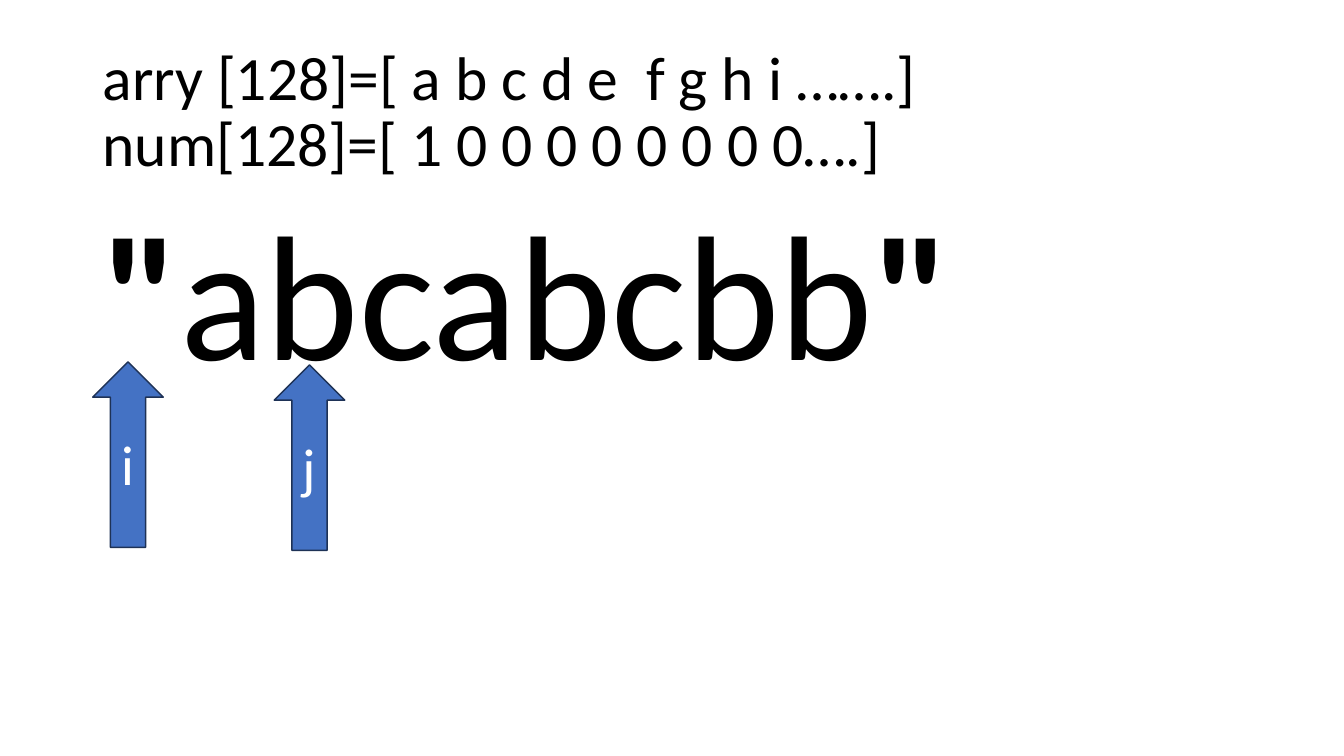
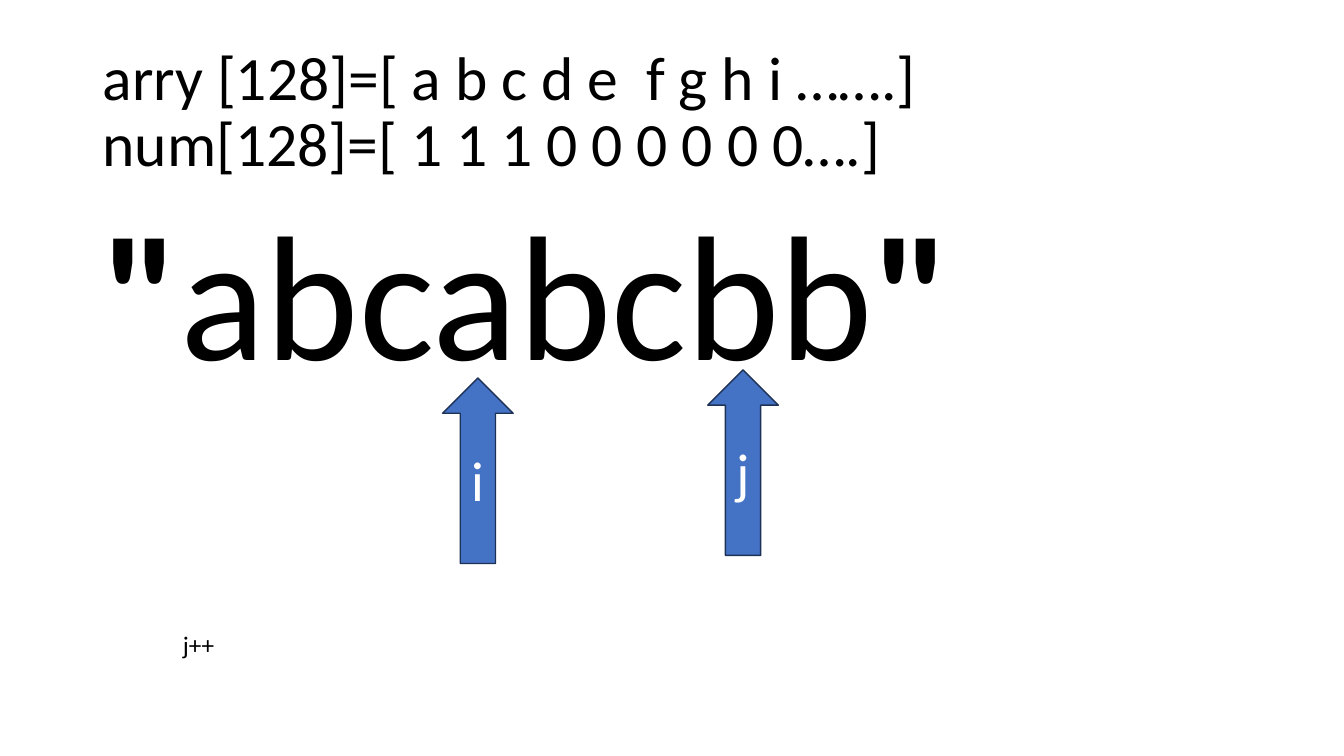
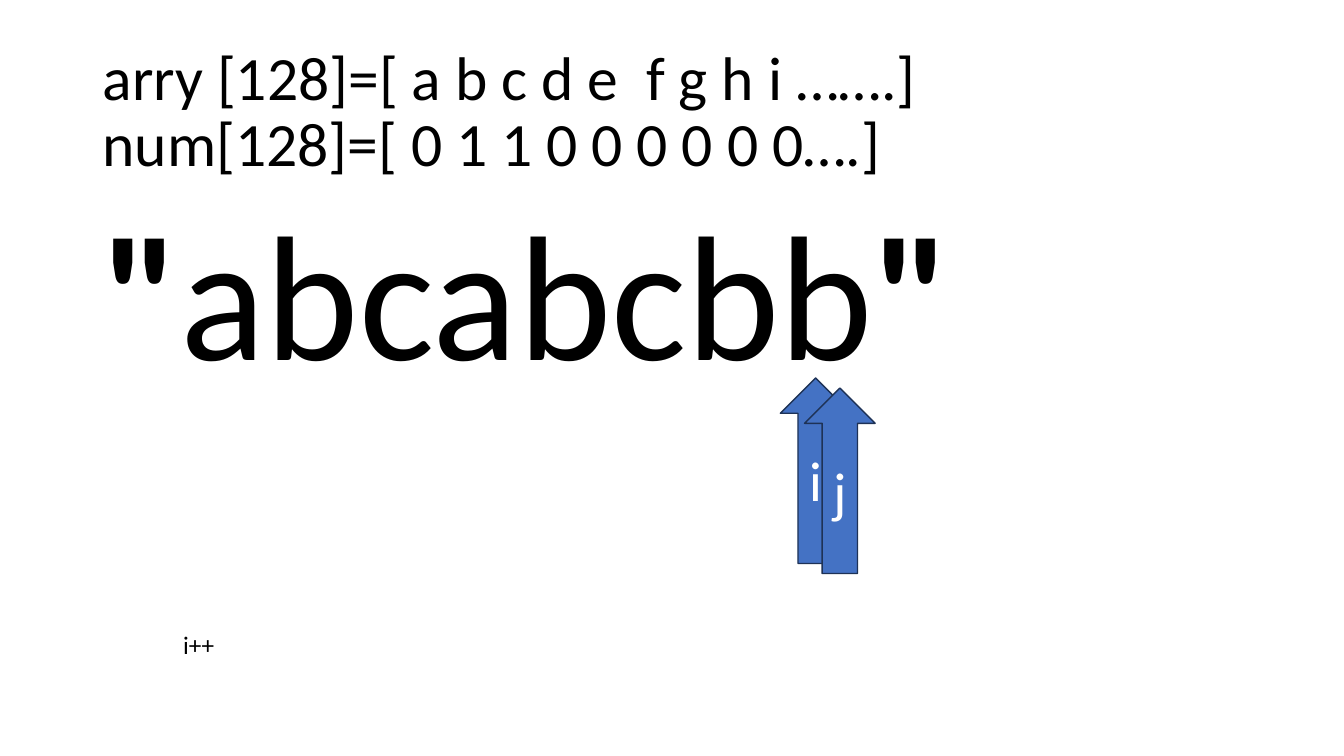
from pptx import Presentation
from pptx.dml.color import RGBColor
from pptx.enum.shapes import MSO_SHAPE
from pptx.enum.text import MSO_ANCHOR, PP_ALIGN
from pptx.util import Inches, Pt

FONT = "Calibri"
COLORS = {"text": "000000", "arrow": "4472C4", "outline": "1E3256", "label": "FFFFFF"}

LETTERS = "arry [128]=[ a b c d e  f g h i …….]"
SEARCHED = [('"', True), ("abcabcbb", False), ('"', True)]  # text, bold
ARROW_SIZE = (0.7, 1.84)

STEPS = [
    {"counts": "1 0 0 0 0 0 0 0 0", "pointers": {"i": (0.92, 3.59), "j": (2.72, 3.62)}, "action": None},
    {"counts": "1 1 1 0 0 0 0 0 0", "pointers": {"i": (4.39, 3.75), "j": (7.02, 3.67)}, "action": "j++"},
    {"counts": "0 1 1 0 0 0 0 0 0", "pointers": {"i": (7.74, 3.75), "j": (7.98, 3.85)}, "action": "i++"},
]


def color(name):
    return RGBColor.from_string(COLORS[name])


def style(paragraph, size, color_name="text", align=PP_ALIGN.LEFT, line_spacing=None):
    paragraph.alignment = align
    paragraph.line_spacing = line_spacing
    paragraph.font.name = FONT
    paragraph.font.size = Pt(size)
    paragraph.font.color.rgb = color(color_name)


def add_text(slide, box, runs, size, anchor=MSO_ANCHOR.TOP, **paragraph_style):
    frame = slide.shapes.add_textbox(*map(Inches, box)).text_frame
    frame.word_wrap = True
    frame.vertical_anchor = anchor
    paragraph = frame.paragraphs[0]
    for text, bold in runs:
        for index, line in enumerate(text.split("\n")):
            if index:
                paragraph.add_line_break()
            run = paragraph.add_run()
            run.text = line
            run.font.bold = bold
    style(paragraph, size, **paragraph_style)


def add_pointer(slide, label, position):
    shape = slide.shapes.add_shape(MSO_SHAPE.UP_ARROW, *map(Inches, position + ARROW_SIZE))
    shape.shadow.inherit = False
    shape.fill.solid()
    shape.fill.fore_color.rgb = color("arrow")
    shape.line.color.rgb = color("outline")
    shape.line.width = Pt(1)
    frame = shape.text_frame
    frame.vertical_anchor = MSO_ANCHOR.MIDDLE
    frame.text = label
    style(frame.paragraphs[0], 40, "label", PP_ALIGN.CENTER)


def add_step(presentation, step):
    slide = presentation.slides.add_slide(presentation.slide_layouts[6])
    arrays = f"{LETTERS}\nnum[128]=[ {step['counts']}….]"
    add_text(slide, (0.92, 0.4, 11.5, 1.45), [(arrays, False)], 44,
             anchor=MSO_ANCHOR.MIDDLE, line_spacing=0.9)
    add_text(slide, (0.92, 2, 11.61, 2.4), SEARCHED, 127, line_spacing=0.9)
    for label, position in step["pointers"].items():
        add_pointer(slide, label, position)
    if step["action"]:
        add_text(slide, (1.56, 6.19, 0.82, 0.4), [(step["action"], False)], 18,
                 align=PP_ALIGN.CENTER)


def main():
    presentation = Presentation()
    presentation.slide_width = Inches(13.33)
    presentation.slide_height = Inches(7.5)
    for step in STEPS:
        add_step(presentation, step)
    presentation.save("out.pptx")


if __name__ == "__main__":
    main()
